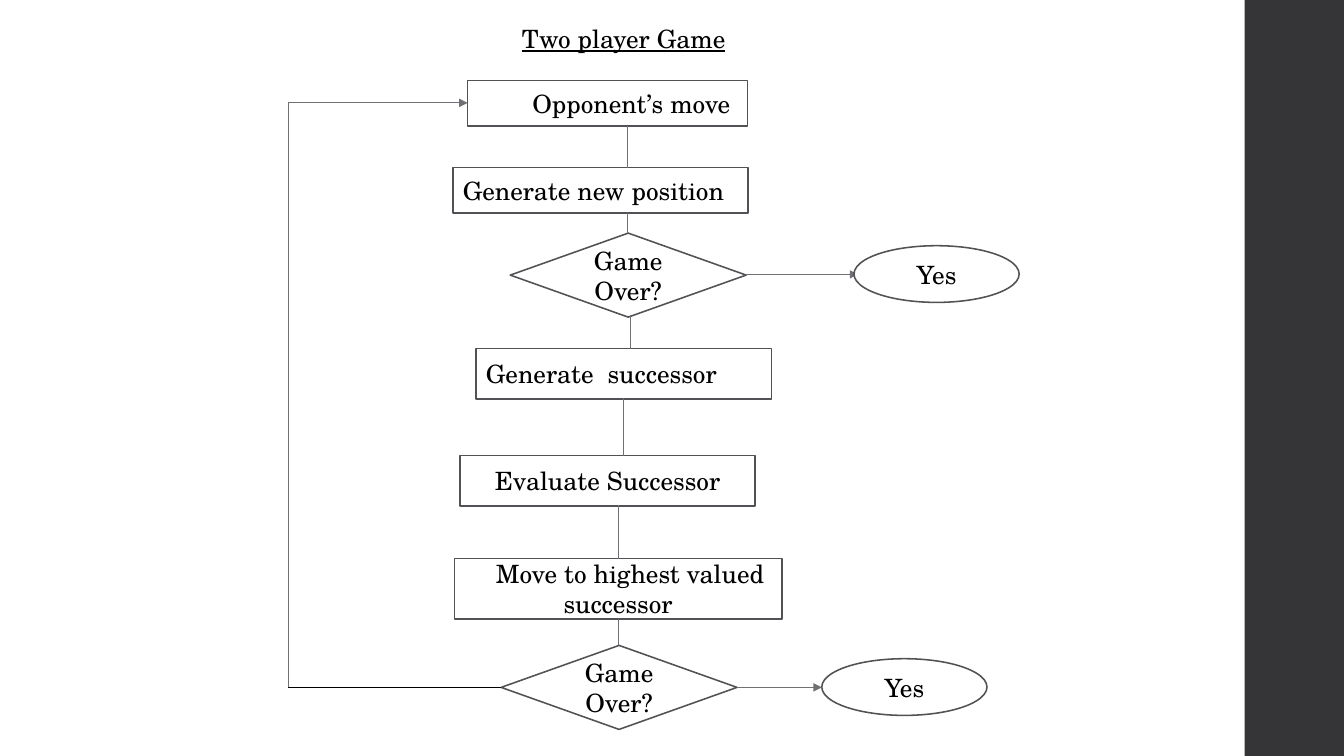
from lxml.etree import SubElement
from pptx import Presentation
from pptx.dml.color import RGBColor
from pptx.enum.shapes import MSO_CONNECTOR as Connector, MSO_SHAPE as Preset
from pptx.enum.text import MSO_ANCHOR as Anchor, MSO_AUTO_SIZE as AutoSize, PP_ALIGN as Align
from pptx.oxml.ns import qn
from pptx.util import Pt

FONT = "TeX Gyre Schola"
BLACK, WHITE, OUTLINE, LINK, STRIP = "000000", "FFFFFF", "525256", "6F6F74", "353537"


def color(value):
    """Turn a hex string into a colour."""
    return RGBColor.from_string(value)


def add_text(shape, text, align=Align.CENTER, underline=False, indent=0):
    """Write one styled paragraph, with an optional first-line indent."""
    paragraph = shape.text_frame.paragraphs[0]
    paragraph.alignment = align
    if indent:
        properties = paragraph._p.get_or_add_pPr()
        properties.set("marL", "0")
        properties.set("indent", str(Pt(indent)))
    run = paragraph.add_run()
    run.text = text
    run.font.name = FONT
    run.font.size = Pt(18)
    run.font.underline = underline
    run.font.color.rgb = color(BLACK)


def add_title(slide, text):
    """Place the underlined heading in the title placeholder."""
    title = slide.shapes.title
    title.left, title.top, title.width, title.height = Pt(33), Pt(14.4), Pt(825), Pt(36)
    frame = title.text_frame
    frame.auto_size = AutoSize.NONE
    frame.vertical_anchor = Anchor.TOP
    frame.paragraphs[0].line_spacing = 0.95
    add_text(title, text, underline=True)


def add_strip(slide):
    """Draw the dark strip at the right edge."""
    strip = slide.shapes.add_shape(Preset.RECTANGLE, Pt(889), 0, Pt(71), Pt(540))
    strip.shadow.inherit = False
    strip.fill.solid()
    strip.fill.fore_color.rgb = color(STRIP)
    strip.line.fill.background()


def add_node(slide, preset, box, text, align=Align.CENTER, indent=0):
    """Draw one outlined flowchart node with its label."""
    node = slide.shapes.add_shape(preset, *(Pt(length) for length in box))
    node.shadow.inherit = False
    node.fill.solid()
    node.fill.fore_color.rgb = color(WHITE)
    node.line.color.rgb = color(OUTLINE)
    node.line.width = Pt(1.1)
    node.text_frame.word_wrap = True
    node.text_frame.vertical_anchor = Anchor.MIDDLE
    add_text(node, text, align, indent=indent)


def add_link(slide, start, end, arrow=False, line_color=LINK):
    """Draw a straight link, with an arrowhead at its end if asked."""
    points = (Pt(length) for length in (*start, *end))
    link = slide.shapes.add_connector(Connector.STRAIGHT, *points)
    link.line.color.rgb = color(line_color)
    link.line.width = Pt(0.75)
    if arrow:
        SubElement(link.line._get_or_add_ln(), qn("a:tailEnd"), type="triangle")
    SubElement(link._element.spPr, qn("a:effectLst"))


def main():
    """Build the two-player game flowchart."""
    presentation = Presentation()
    presentation.slide_width, presentation.slide_height = Pt(960), Pt(540)
    slide = presentation.slides.add_slide(presentation.slide_layouts[5])
    add_title(slide, "Two player Game")
    add_strip(slide)

    steps = [
        ((334, 57.5, 200, 32.5), "Opponent’s move", Align.CENTER, 34),
        ((323.5, 119.5, 211, 32.5), "Generate new position", Align.LEFT, 0),
        ((340, 249, 211, 36), "Generate  successor", Align.LEFT, 0),
        ((328.5, 325.5, 211, 36), "Evaluate Successor", Align.CENTER, 0),
        ((324.5, 399, 234, 43), "Move to highest valued successor", Align.CENTER, 17),
    ]
    for box, text, align, indent in steps:
        add_node(slide, Preset.RECTANGLE, box, text, align, indent)
    for left, top in ((364.5, 166.5), (358, 461)):
        add_node(slide, Preset.DIAMOND, (left, top, 168.5, 60), "Game Over?")

    downward = [(448.5, 90, 120), (448.5, 152, 166.5), (450.5, 225, 249.5),
                (445.5, 284.5, 325.5), (442, 361, 399), (442, 442, 461)]
    for x, top, bottom in downward:
        add_link(slide, (x, top), (x, bottom))

    loop_left, loop_top, loop_bottom = 206, 73.5, 491
    add_link(slide, (358, loop_bottom), (loop_left, loop_bottom), line_color=BLACK)
    add_link(slide, (loop_left, loop_bottom), (loop_left, loop_top))
    add_link(slide, (loop_left, loop_top), (334, loop_top), arrow=True)

    add_link(slide, (533, 196), (613, 196), arrow=True)
    for left, top in ((610, 175.5), (587, 470.5)):
        add_node(slide, Preset.OVAL, (left, top, 118, 40.5), "Yes")
    add_link(slide, (526.5, loop_bottom), (587, loop_bottom), arrow=True)
    presentation.save("out.pptx")


if __name__ == "__main__":
    main()
